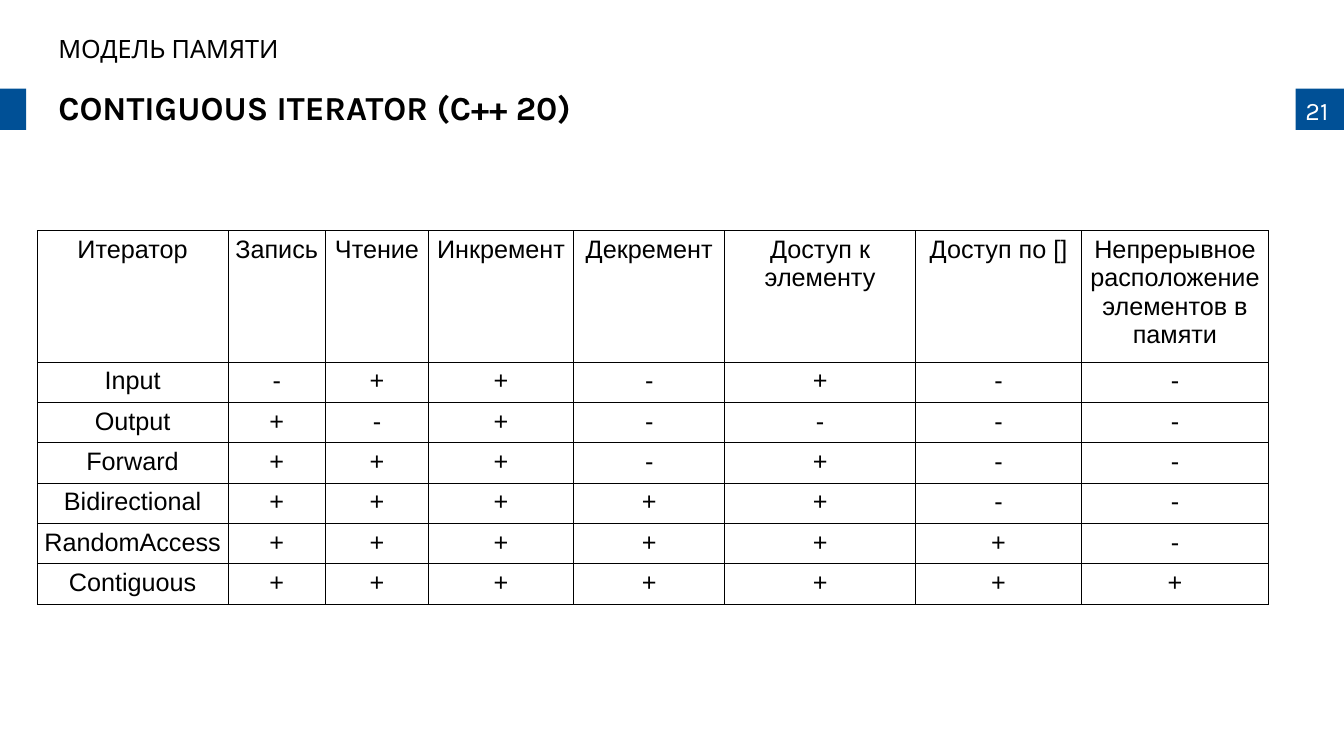
from pptx import Presentation
from pptx.dml.color import RGBColor
from pptx.enum.shapes import MSO_SHAPE
from pptx.enum.text import MSO_ANCHOR, PP_ALIGN
from pptx.oxml import parse_xml
from pptx.oxml.ns import nsdecls
from pptx.util import Inches, Pt

HEADERS = ["Итератор", "Запись", "Чтение", "Инкремент", "Декремент",
           "Доступ к элементу", "Доступ по []",
           "Непрерывное расположение элементов в памяти"]
ITERATORS = [
    ("Input", "-++-+--"),
    ("Output", "+-+----"),
    ("Forward", "+++-+--"),
    ("Bidirectional", "+++++--"),
    ("RandomAccess", "++++++-"),
    ("Contiguous", "+++++++"),
]
COLUMN_WIDTHS = [1.89, 0.97, 1.02, 1.44, 1.5, 1.89, 1.65, 1.85]
HEADER_HEIGHT, ROW_HEIGHT = 1.22, 0.4
TABLE_LEFT, TABLE_TOP = 0.37, 2.29
BARS = [(0, 0.88, 0.26, 0.41), (12.85, 0.88, 0.48, 0.41)]
LABELS = [
    ("21", (12.85, 0.9, 0.47, 0.4), {"color": "white", "anchor": MSO_ANCHOR.TOP}),
    ("CONTIGUOUS ITERATOR (C++ 20)", (0.48, 0.88, 10.9, 0.41),
     {"size": 24, "bold": True, "spacing": 0.9}),
    ("МОДЕЛЬ ПАМЯТИ", (0.48, 0.33, 10.9, 0.34), {"spacing": 0.9}),
]
COLORS = {"white": RGBColor(255, 255, 255), "black": RGBColor(0, 0, 0)}
BLUE = RGBColor(0x00, 0x50, 0x96)
MIDDLE = MSO_ANCHOR.MIDDLE
LEFT, CENTER = PP_ALIGN.LEFT, PP_ALIGN.CENTER
RECTANGLE = MSO_SHAPE.RECTANGLE
BORDER_WIDTH = Pt(0.57)


def write(frame, text, font="Karla", size=18, color="black", bold=False,
          align=LEFT, spacing=1.0):
    para = frame.paragraphs[0]
    para.alignment = align
    para.line_spacing = spacing
    span = para.add_run()
    span.text = text
    span.font.name = font
    span.font.size = Pt(size)
    span.font.bold = bold
    span.font.color.rgb = COLORS[color]


def add_label(page, text, place, anchor=MIDDLE, **style):
    frame = page.shapes.add_textbox(*map(Inches, place)).text_frame
    frame.word_wrap = True
    frame.vertical_anchor = anchor
    write(frame, text, **style)


def add_bar(page, place):
    bar = page.shapes.add_shape(RECTANGLE, *map(Inches, place))
    bar.shadow.inherit = False
    bar.fill.solid()
    bar.fill.fore_color.rgb = BLUE
    bar.line.fill.background()


def format_cell(cell):
    cell.margin_left = cell.margin_right = Inches(0.04)
    cell.margin_top = cell.margin_bottom = Inches(0.05)
    properties = cell._tc.get_or_add_tcPr()
    for side in ("lnL", "lnR", "lnT", "lnB"):
        properties.append(parse_xml(
            f'<a:{side} {nsdecls("a")} w="{BORDER_WIDTH}"><a:solidFill>'
            f'<a:srgbClr val="000000"/></a:solidFill></a:{side}>'))
    cell.fill.background()


def add_iterator_table(page):
    rows = [HEADERS] + [[name, *marks] for name, marks in ITERATORS]
    heights = [HEADER_HEIGHT] + [ROW_HEIGHT] * len(ITERATORS)
    table = page.shapes.add_table(
        len(rows), len(HEADERS), Inches(TABLE_LEFT), Inches(TABLE_TOP),
        Inches(sum(COLUMN_WIDTHS)), Inches(sum(heights))).table
    table.first_row = table.horz_banding = False
    for column, width in zip(table.columns, COLUMN_WIDTHS):
        column.width = Inches(width)
    for row, height, texts in zip(table.rows, heights, rows):
        row.height = Inches(height)
        for cell, text in zip(row.cells, texts):
            format_cell(cell)
            write(cell.text_frame, text, font="Arial", align=CENTER)


def main():
    deck = Presentation()
    deck.slide_width, deck.slide_height = Inches(13.33), Inches(7.5)
    page = deck.slides.add_slide(deck.slide_layouts[6])
    for place in BARS:
        add_bar(page, place)
    for text, place, style in LABELS:
        add_label(page, text, place, **style)
    add_iterator_table(page)
    deck.save("out.pptx")


if __name__ == "__main__":
    main()
